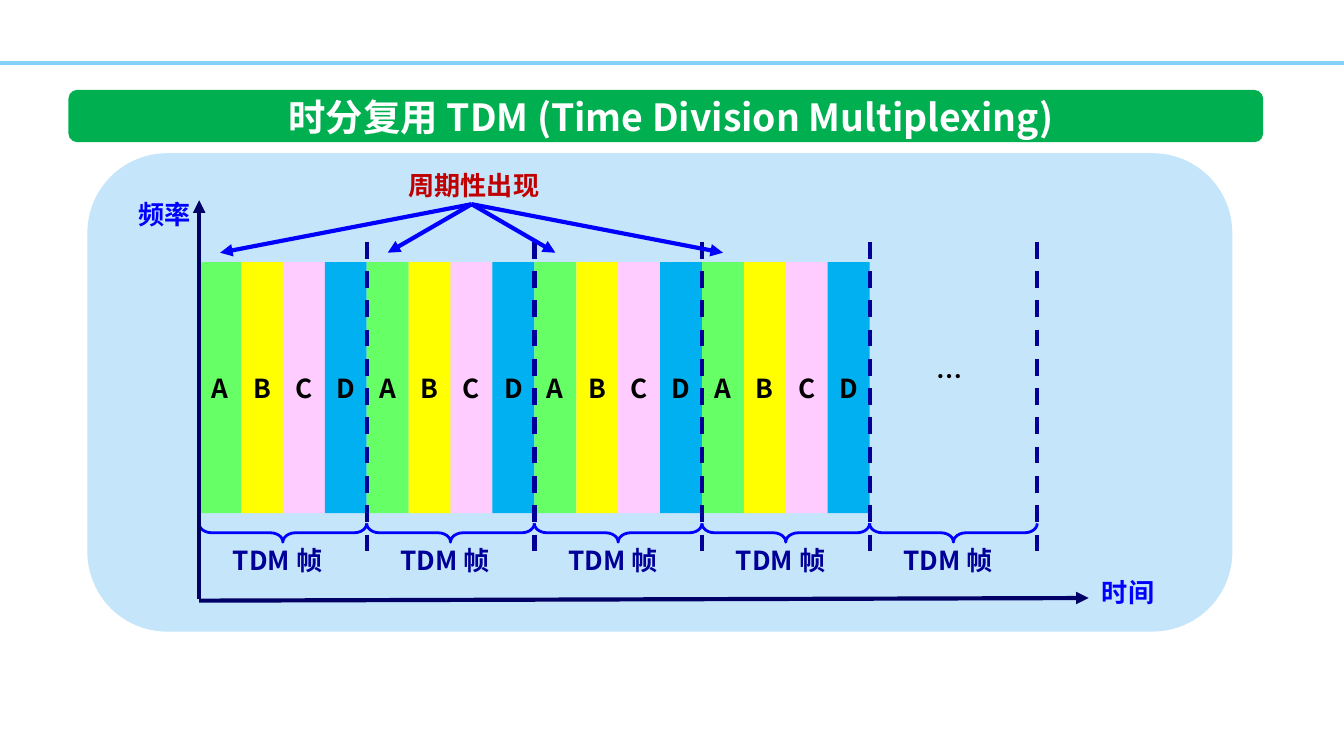
from lxml.etree import SubElement
from pptx import Presentation
from pptx.dml.color import RGBColor
from pptx.enum.dml import MSO_LINE
from pptx.enum.shapes import MSO_CONNECTOR, MSO_SHAPE
from pptx.enum.text import MSO_ANCHOR, MSO_AUTO_SIZE, PP_ALIGN
from pptx.oxml.ns import qn
from pptx.util import Pt

FONT = "Noto Sans CJK SC"
COLORS = {
    "rule": "85D1F7", "banner": "00B050", "panel": "C5E5FB",
    "axis": "000066", "frame": "000099", "blue": "0000FF",
    "red": "C00000", "black": "000000", "white": "FFFFFF",
    "A": "66FF66", "B": "FFFF00", "C": "FFCCFF", "D": "00B0F0",
}
USERS = "ABCD"
FULL_FRAMES = 4
FRAMES = 5
LEFT = 106.7           # start of the first frame
FRAME_W = 89.8
SLOT_W = FRAME_W / len(USERS)
SLOT_TOP, SLOT_H = 140.4, 134.6


def rgb(name):
    return RGBColor.from_string(COLORS[name])


def style_text(tf, text, color, size=14, align=PP_ALIGN.LEFT, spacing=None):
    p = tf.paragraphs[0]
    p.text = text
    p.alignment = align
    p.line_spacing = spacing
    font = p.font
    font.size, font.bold, font.name = Pt(size), True, FONT
    font.color.rgb = rgb(color)
    east_asian = SubElement(p._p.pPr.find(qn("a:defRPr")), qn("a:ea"))
    east_asian.set("typeface", FONT)


def add_box(s, kind, x, y, w, h, fill):
    sp = s.shapes.add_shape(kind, Pt(x), Pt(y), Pt(w), Pt(h))
    sp.shadow.inherit = False
    sp.fill.solid()
    sp.fill.fore_color.rgb = rgb(fill)
    sp.line.fill.background()
    return sp


def add_label(s, text, x, y, w, h, color, spacing=0.9):
    tf = s.shapes.add_textbox(Pt(x), Pt(y), Pt(w), Pt(h)).text_frame
    tf.word_wrap = False
    tf.auto_size = MSO_AUTO_SIZE.SHAPE_TO_FIT_TEXT
    style_text(tf, text, color, spacing=spacing)


def add_line(s, start, end, color, width=2.25, dash=None, arrow=False):
    ends = [Pt(v) for v in (*start, *end)]
    line = s.shapes.add_connector(MSO_CONNECTOR.STRAIGHT, *ends)
    line.line.color.rgb = rgb(color)
    line.line.width = Pt(width)
    if dash:
        line.line.dash_style = dash
    if arrow:
        SubElement(line.line._get_or_add_ln(), qn("a:tailEnd")).set("type", "triangle")
    SubElement(line._element.spPr, qn("a:effectLst"))


def add_brace(s, x, y, w, h):
    """Draw a brace that opens upward, inside the given upright box."""
    sp = s.shapes.add_shape(MSO_SHAPE.LEFT_BRACE, Pt(x + (w - h) / 2),
                            Pt(y + (h - w) / 2), Pt(h), Pt(w))
    sp.rotation = 270
    sp.adjustments[0] = 0.67
    sp.shadow.inherit = False
    sp.fill.background()
    sp.line.color.rgb = rgb("blue")
    sp.line.width = Pt(1.5)


def add_slot(s, user, x):
    sp = add_box(s, MSO_SHAPE.RECTANGLE, x, SLOT_TOP, SLOT_W, SLOT_H, user)
    tf = sp.text_frame
    tf.word_wrap = False
    tf.vertical_anchor = MSO_ANCHOR.MIDDLE
    style_text(tf, user, "black", align=PP_ALIGN.CENTER)


def add_title(s, text):
    add_line(s, (0, 33.8), (720, 33.8), "rule", 2)
    add_box(s, MSO_SHAPE.ROUNDED_RECTANGLE, 36.7, 48.2, 640, 28, "banner")
    title = s.shapes.title
    title.left, title.top, title.width, title.height = Pt(98.6), Pt(48.2), Pt(522), Pt(28)
    s.shapes._spTree.append(title._element)  # in front of the banner
    tf = title.text_frame
    tf.auto_size = MSO_AUTO_SIZE.NONE
    tf.vertical_anchor = MSO_ANCHOR.MIDDLE
    style_text(tf, text, "white", 20, PP_ALIGN.CENTER)


def add_axes(s):
    add_line(s, (LEFT, 321.8), (583.2, 320.4), "axis", arrow=True)
    add_line(s, (LEFT, 321.1), (LEFT, 107.3), "axis", arrow=True)
    add_label(s, "频率", 67, 104.4, 42.5, 22.3, "blue")
    add_label(s, "时间", 583.2, 307.4, 42.5, 22.3, "blue")


def add_frames(s):
    starts = [LEFT + i * FRAME_W for i in range(FRAMES)]
    for x in starts[:FULL_FRAMES]:
        for i, user in enumerate(USERS):
            add_slot(s, user, x + i * SLOT_W)
    for x in starts:
        add_label(s, "TDM 帧", x + 11, 290.2, 67.7, 22.3, "frame")
        add_brace(s, x, 280.4, FRAME_W, 10)
        add_line(s, (x + FRAME_W, 129.6), (x + FRAME_W, 301), "frame", dash=MSO_LINE.DASH)
    add_label(s, "…", 494.6, 189.4, 28, 23.8, "black", spacing=None)


def add_period_note(s):
    add_label(s, "周期性出现", 211.7, 89.3, 85, 22.3, "red")
    for i in range(FULL_FRAMES):
        add_line(s, (252.7, 109.4), (LEFT + SLOT_W / 2 + i * FRAME_W, 135.4),
                 "blue", arrow=True)


def main():
    prs = Presentation()
    prs.slide_width, prs.slide_height = Pt(720), Pt(405)
    s = prs.slides.add_slide(prs.slide_layouts[5])
    add_title(s, "时分复用 TDM (Time Division Multiplexing)")
    add_box(s, MSO_SHAPE.ROUNDED_RECTANGLE, 46.8, 82.1, 613.4, 256.3, "panel")
    add_frames(s)
    add_axes(s)
    add_period_note(s)
    prs.save("out.pptx")


if __name__ == "__main__":
    main()
